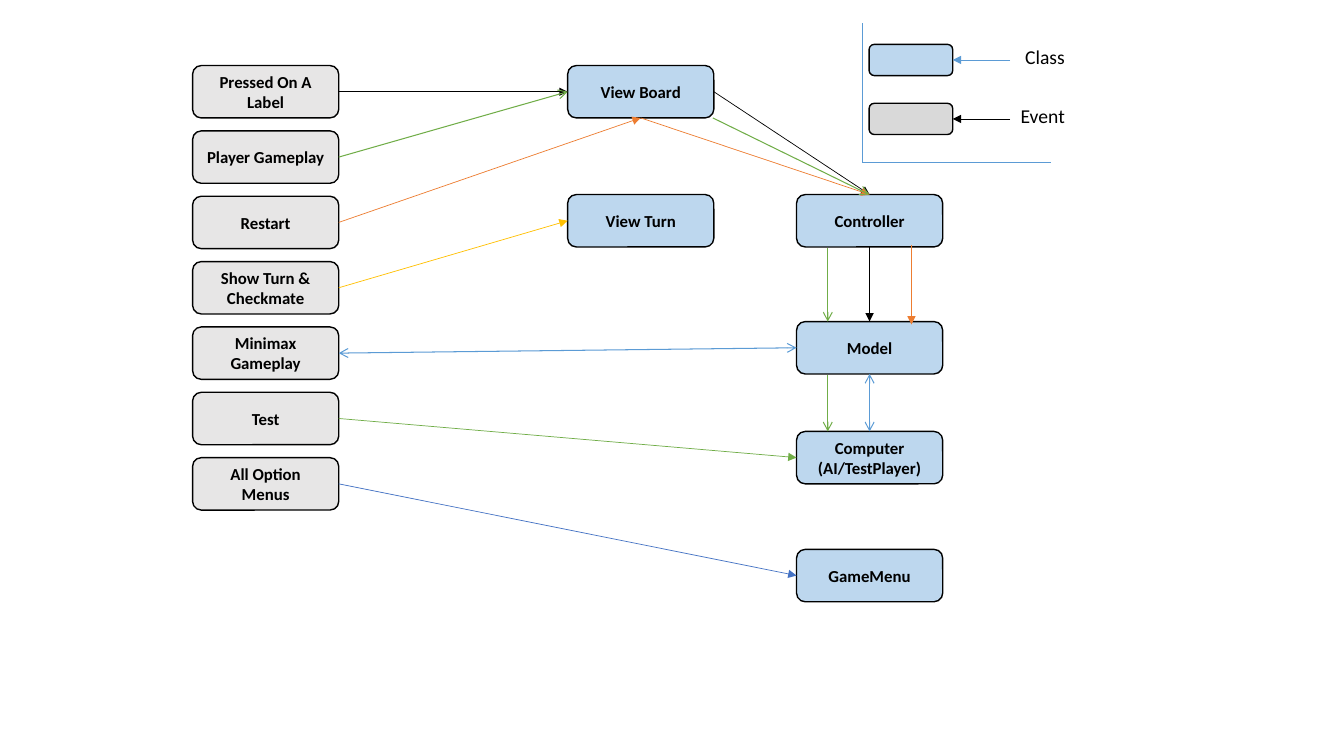
import pptx
import pptx.util
import pptx.dml.color
import pptx.enum.shapes
import pptx.enum.text
import pptx.oxml
import pptx.oxml.ns
from pptx.util import Inches

RGBColor = pptx.dml.color.RGBColor
BLACK = RGBColor(0x00, 0x00, 0x00)
EVENT_FILL = RGBColor(0xE7, 0xE6, 0xE6)
CLASS_FILL = RGBColor(0xBD, 0xD7, 0xEE)
LEGEND_EVENT_FILL = RGBColor(0xD9, 0xD9, 0xD9)
LIGHT_BLUE = RGBColor(0x5B, 0x9B, 0xD5)
BLUE = RGBColor(0x44, 0x72, 0xC4)
GREEN = RGBColor(0x70, 0xAD, 0x47)
ORANGE = RGBColor(0xED, 0x7D, 0x31)
YELLOW = RGBColor(0xFF, 0xC0, 0x00)

TOP, LEFT, BOTTOM, RIGHT = range(4)
BOX_WIDTH, BOX_HEIGHT = 1.45, 0.52

EVENTS = ["Pressed On A Label", "Player Gameplay", "Restart", "Show Turn & Checkmate",
          "Minimax Gameplay", "Test", "All Option Menus"]
CLASSES = [  # text, left and top within the class area
    ("View Board", 0, 0),
    ("View Turn", 0, 1.28),
    ("Controller", 2.27, 1.28),
    ("Model", 2.27, 2.54),
    ("Computer\n(AI/TestPlayer)", 2.27, 3.63),
    ("GameMenu", 2.27, 4.8),
]
JOINED_ARROWS = [  # from, side, to, side, colour, width, tail, head
    ("Pressed On A Label", RIGHT, "View Board", LEFT, BLACK, 0.5, "triangle", None),
    ("View Board", RIGHT, "Controller", TOP, BLACK, 0.5, "triangle", None),
    ("Controller", BOTTOM, "Model", TOP, BLACK, 0.5, "triangle", None),
    ("Show Turn & Checkmate", RIGHT, "View Turn", LEFT, YELLOW, 0.5, "triangle", None),
    ("Restart", RIGHT, "View Board", BOTTOM, ORANGE, 0.5, "triangle", None),
    ("View Board", BOTTOM, "Controller", TOP, ORANGE, 0.5, "triangle", None),
    ("Test", RIGHT, "Computer", LEFT, GREEN, 0.5, "triangle", None),
    ("All Option Menus", RIGHT, "GameMenu", LEFT, BLUE, 0.5, "triangle", None),
    ("Minimax Gameplay", RIGHT, "Model", LEFT, LIGHT_BLUE, 0.75, "arrow", "arrow"),
    ("Model", BOTTOM, "Computer", TOP, LIGHT_BLUE, 0.75, "arrow", "arrow"),
    ("Player Gameplay", RIGHT, "View Board", LEFT, GREEN, 0.75, "arrow", None),
]
FREE_ARROWS = [  # start, end, colour, width, tail
    ((7.07, 1.17), (8.62, 1.93), GREEN, 0.75, "arrow"),
    ((8.21, 2.46), (8.21, 3.19), GREEN, 0.75, "arrow"),
    ((8.21, 3.72), (8.21, 4.28), GREEN, 0.75, "arrow"),
    ((9.04, 2.43), (9.04, 3.22), ORANGE, 0.5, "triangle"),
]


def format_text(text_frame, text, size, bold, alignment):
    text_frame.text = text
    text_frame.word_wrap = True
    for paragraph in text_frame.paragraphs:
        paragraph.alignment = alignment
        font = paragraph.runs[0].font
        font.name, font.size, font.bold = "Calibri", pptx.util.Pt(size), bold
        font.color.rgb = BLACK


def add_box(slide, left, top, width, height, fill, text=None):
    shape = slide.shapes.add_shape(pptx.enum.shapes.MSO_SHAPE.ROUNDED_RECTANGLE,
                                   Inches(left), Inches(top), Inches(width), Inches(height))
    shape.shadow.inherit = False
    shape.fill.solid()
    shape.fill.fore_color.rgb = fill
    shape.line.color.rgb = BLACK
    shape.line.width = pptx.util.Pt(1)
    if text:
        shape.text_frame.vertical_anchor = pptx.enum.text.MSO_ANCHOR.MIDDLE
        format_text(shape.text_frame, text, 12, True, pptx.enum.text.PP_ALIGN.CENTER)
    return shape


def add_line(slide, start, end, color, width, tail=None, head=None):
    connector = slide.shapes.add_connector(pptx.enum.shapes.MSO_CONNECTOR.STRAIGHT,
                                           *(Inches(value) for value in (*start, *end)))
    connector.line.color.rgb = color
    connector.line.width = pptx.util.Pt(width)
    line = connector.line._get_or_add_ln()
    for tag, kind in (("a:headEnd", head), ("a:tailEnd", tail)):
        if kind:
            arrowhead = pptx.oxml.parse_xml(f'<{tag} {pptx.oxml.ns.nsdecls("a")}/>')
            arrowhead.set("type", kind)
            line.append(arrowhead)
    connector._element.spPr.append(
        pptx.oxml.parse_xml(f'<a:effectLst {pptx.oxml.ns.nsdecls("a")}/>'))
    return connector


def add_events(slide, left, top, height):
    pitch = (height - BOX_HEIGHT) / (len(EVENTS) - 1)
    return {text: add_box(slide, left, top + row * pitch, BOX_WIDTH, BOX_HEIGHT,
                          EVENT_FILL, text)
            for row, text in enumerate(EVENTS)}


def add_classes(slide, left, top):
    return {text.split("\n")[0]: add_box(slide, left + x, top + y, BOX_WIDTH, BOX_HEIGHT,
                                         CLASS_FILL, text)
            for text, x, y in CLASSES}


def add_arrows(slide, boxes):
    for source, source_side, target, target_side, *style in JOINED_ARROWS:
        connector = add_line(slide, (0, 0), (1, 1), *style)
        connector.begin_connect(boxes[source], source_side)
        connector.end_connect(boxes[target], target_side)
    for arrow in FREE_ARROWS:
        add_line(slide, *arrow)


def add_legend(slide, left, top, width, height):
    # Frame: left and bottom edge
    corner = (left, top + height)
    add_line(slide, (left, top), corner, LIGHT_BLUE, 0.5)
    add_line(slide, corner, (left + width, top + height), LIGHT_BLUE, 0.5)
    # Entries: sample box, arrow and label
    entries = [("Class", CLASS_FILL, LIGHT_BLUE), ("Event", LEGEND_EVENT_FILL, BLACK)]
    for row, (text, fill, color) in enumerate(entries):
        row_top = top + 0.21 + row * 0.585
        sample = add_box(slide, left + 0.07, row_top, 0.83, 0.31, fill)
        middle = row_top + 0.155
        arrow = add_line(slide, (left + 1.47, middle), (left + 0.9, middle),
                         color, 0.5, "triangle")
        arrow.end_connect(sample, RIGHT)
        label = slide.shapes.add_textbox(Inches(left + 1.38), Inches(row_top - 0.045),
                                         Inches(0.73), Inches(0.34))
        format_text(label.text_frame, text, 14, False, pptx.enum.text.PP_ALIGN.RIGHT)


def main():
    presentation = pptx.Presentation()
    presentation.slide_width = Inches(13.33)
    presentation.slide_height = Inches(7.5)
    slide = presentation.slides.add_slide(presentation.slide_layouts[6])
    events = add_events(slide, 1.91, 0.65, 4.41)
    classes = add_classes(slide, 5.63, 0.65)
    add_arrows(slide, {**events, **classes})
    add_legend(slide, 8.55, 0.23, 1.87, 1.38)
    presentation.save("out.pptx")


if __name__ == "__main__":
    main()
